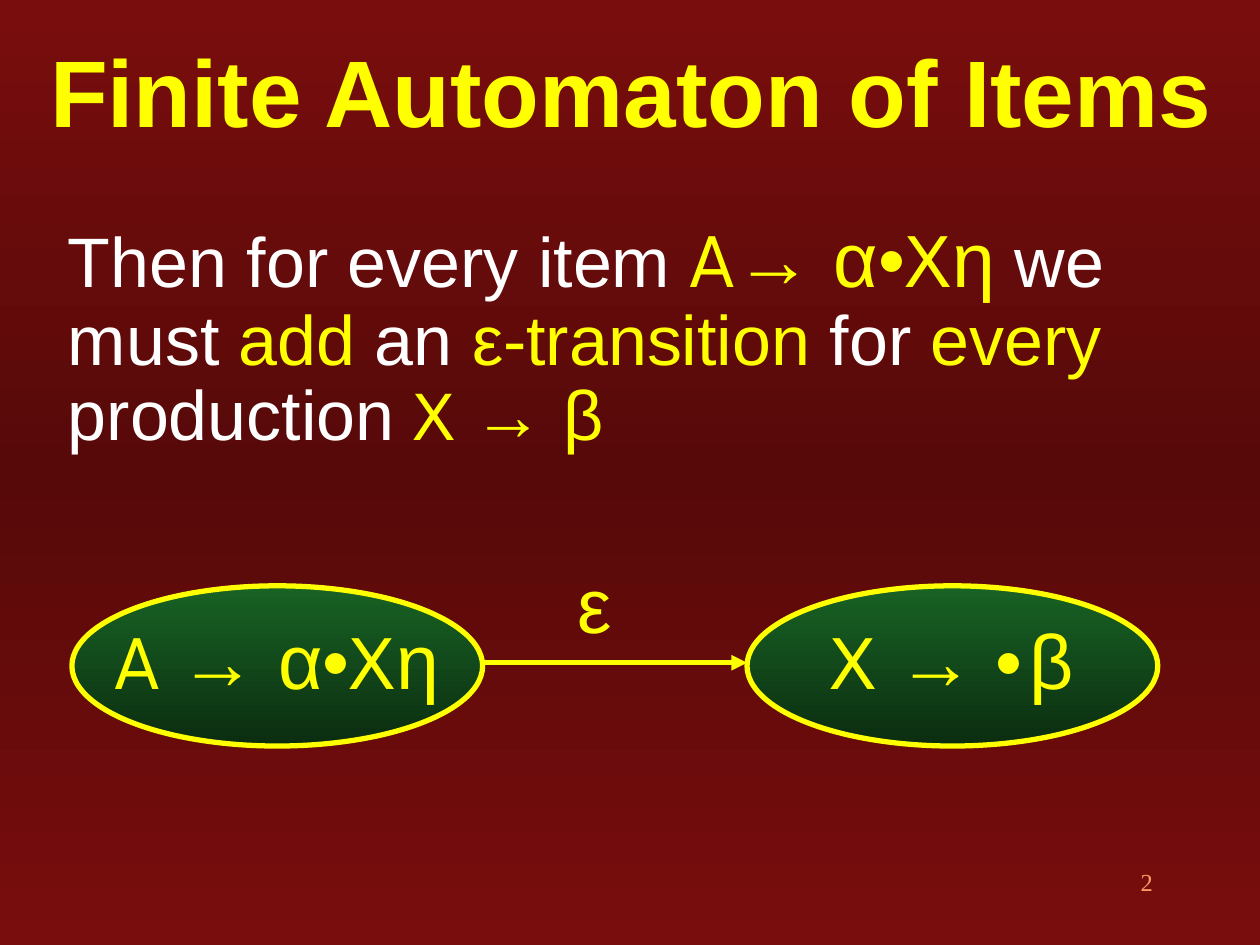
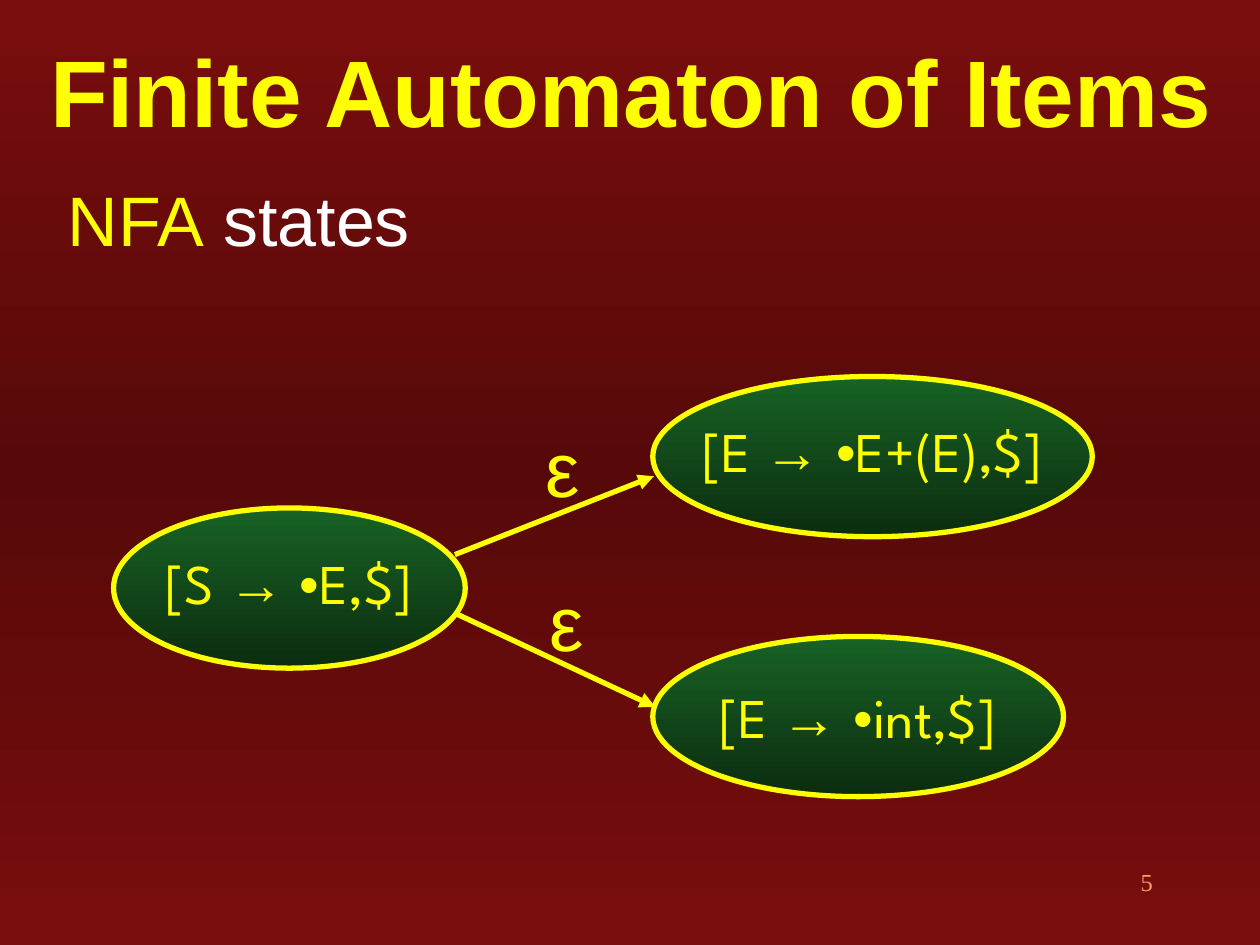
from lxml import etree
from pptx import Presentation
from pptx.dml.color import RGBColor
from pptx.enum.shapes import MSO_CONNECTOR, MSO_SHAPE
from pptx.enum.text import MSO_ANCHOR, PP_ALIGN
from pptx.oxml.ns import qn
from pptx.util import Cm, Pt

OVAL, STRAIGHT = MSO_SHAPE.OVAL, MSO_CONNECTOR.STRAIGHT
TOP, MIDDLE = MSO_ANCHOR.TOP, MSO_ANCHOR.MIDDLE
LEFT, CENTER, RIGHT = PP_ALIGN.LEFT, PP_ALIGN.CENTER, PP_ALIGN.RIGHT

COLORS = {
    "yellow": "FFFF00", "white": "FFFFFF", "page": "FF9966", "shadow": "E0E0E0",
    "red": "790D0D", "dark_red": "570909", "green": "186224", "dark_green": "0B2D10",
}
ARIAL, SPARTAN, TIMES = "Arial", "League Spartan", "Times New Roman"
TITLE = "Finite Automaton of Items"
OVAL_H = 3.23


def set_gradient(fill, stops):
    """Vertical gradient from (percent, colour name) stops, top to bottom."""
    fill.gradient()
    fill.gradient_angle = 270
    gs_lst = fill._xPr.find(qn("a:gradFill")).find(qn("a:gsLst"))
    for gs in list(gs_lst):
        gs_lst.remove(gs)
    for pos, color in stops:
        gs = etree.SubElement(gs_lst, qn("a:gs"), pos=str(pos * 1000))
        etree.SubElement(gs, qn("a:srgbClr"), val=COLORS[color])


def add_text(sp, runs, align=LEFT, anchor=TOP, wrap=True):
    """Write one paragraph of (text, size, font, colour) runs."""
    tf = sp.text_frame
    tf.word_wrap = wrap
    tf.vertical_anchor = anchor
    p = tf.paragraphs[0]
    p.alignment = align
    for text, size, font, color in runs:
        r = p.add_run()
        r.text = text
        r.font.size = Pt(size)
        r.font.name = font
        r.font.color.rgb = RGBColor.from_string(COLORS[color])
    return p


# Slide content: ovals are (left, top, width, text lift, runs),
# arrows are (x1, y1, x2, y2), epsilons are (left, top)
slides = [
    {
        "page": "2",
        "body_box": (4.34, 6.45),
        "body": [
            ("Then for every item ", 40, ARIAL, "white"),
            ("A", 44, SPARTAN, "yellow"),
            ("→ α•", 44, ARIAL, "yellow"),
            ("X", 44, SPARTAN, "yellow"),
            ("η", 44, ARIAL, "yellow"),
            (" we must ", 40, ARIAL, "white"),
            ("add", 40, ARIAL, "yellow"),
            (" an ", 40, ARIAL, "white"),
            ("ε-transition", 40, ARIAL, "yellow"),
            (" for ", 40, ARIAL, "white"),
            ("every", 40, ARIAL, "yellow"),
            (" production ", 40, ARIAL, "white"),
            ("X ", 40, SPARTAN, "yellow"),
            ("→ β", 40, ARIAL, "yellow"),
        ],
        "ovals": [
            (1.45, 11.81, 8.28, 0.28, [
                ("A ", 44, SPARTAN, "yellow"), ("→ α•", 44, ARIAL, "yellow"),
                ("X", 44, SPARTAN, "yellow"), ("η", 44, ARIAL, "yellow")]),
            (15.06, 11.81, 8.28, 0.28, [
                ("X ", 44, SPARTAN, "yellow"), ("→ •", 44, ARIAL, "yellow"),
                (" ", 16, TIMES, "yellow"), ("β", 44, ARIAL, "yellow")]),
        ],
        "arrows": [(9.68, 13.36, 15.06, 13.36)],
        "epsilons": [(11.4, 11.1)],
    },
    {
        "page": "5",
        "body_box": (3.63, 3.71),
        "body": [("NFA", 40, ARIAL, "yellow"), (" states", 40, ARIAL, "white")],
        "ovals": [
            (left, top, width, lift, [
                (head, 32, SPARTAN, "yellow"), ("→ •", 32, ARIAL, "yellow"),
                (rest, 32, SPARTAN, "yellow")])
            for left, top, width, lift, head, rest in [
                (2.29, 10.24, 7.09, 0.23, "[S ", "E,$]"),
                (13.16, 7.59, 8.86, 0.28, "[E ", "E+(E),$]"),
                (13.16, 12.83, 8.28, 0.03, "[E ", "int,$]"),
            ]
        ],
        "arrows": [(9.17, 11.18, 13.18, 9.6), (9.19, 12.37, 13.21, 14.25)],
        "epsilons": [(10.74, 8.36), (10.82, 11.46)],
    },
]

prs = Presentation()
prs.slide_width, prs.slide_height = Cm(25.4), Cm(19.05)

# Shared background
set_gradient(prs.slide_master.background.fill,
             [(0, "red"), (50, "dark_red"), (100, "red")])

for content in slides:
    s = prs.slides.add_slide(prs.slide_layouts[6])

    # Title with a text shadow
    sp = s.shapes.add_textbox(Cm(0.76), Cm(0.76), Cm(24.6), Cm(2.11))
    p = add_text(sp, [(TITLE, 54, ARIAL, "yellow")], anchor=MIDDLE)
    r = p.runs[0]
    r.font.bold = True
    effects = etree.Element(qn("a:effectLst"))
    shadow = etree.SubElement(effects, qn("a:outerShdw"), dist="35921", dir="2700000")
    etree.SubElement(shadow, qn("a:srgbClr"), val=COLORS["shadow"])
    r.font._element.find(qn("a:solidFill")).addnext(effects)

    # Body text
    top, height = content["body_box"]
    sp = s.shapes.add_textbox(Cm(1.12), Cm(top), Cm(22.91), Cm(height))
    add_text(sp, content["body"]).line_spacing = 0.9

    # Automaton states
    for left, top, width, lift, runs in content["ovals"]:
        sp = s.shapes.add_shape(OVAL, Cm(left), Cm(top), Cm(width), Cm(OVAL_H))
        sp.shadow.inherit = False
        set_gradient(sp.fill, [(0, "green"), (100, "dark_green")])
        sp.line.color.rgb = RGBColor.from_string(COLORS["yellow"])
        sp.line.width = Pt(3)
        tf = sp.text_frame
        tf.margin_left = tf.margin_right = tf.margin_top = 0
        tf.margin_bottom = Cm(lift)
        add_text(sp, runs, CENTER, MIDDLE, wrap=False)

    # Transitions
    for x1, y1, x2, y2 in content["arrows"]:
        sp = s.shapes.add_connector(STRAIGHT, Cm(x1), Cm(y1), Cm(x2), Cm(y2))
        sp.line.color.rgb = RGBColor.from_string(COLORS["yellow"])
        sp.line.width = Pt(3)
        etree.SubElement(sp.line._get_or_add_ln(), qn("a:tailEnd"), type="triangle")
        etree.SubElement(sp._element.spPr, qn("a:effectLst"))

    # Transition labels
    for left, top in content["epsilons"]:
        sp = s.shapes.add_textbox(Cm(left), Cm(top), Cm(1.17), Cm(2.13))
        add_text(sp, [("ε", 44, ARIAL, "yellow")], wrap=False)

    # Page number
    sp = s.shapes.add_textbox(Cm(18.21), Cm(17.35), Cm(5.28), Cm(1.27))
    add_text(sp, [(content["page"], 14, TIMES, "page")], RIGHT)

prs.save("out.pptx")
